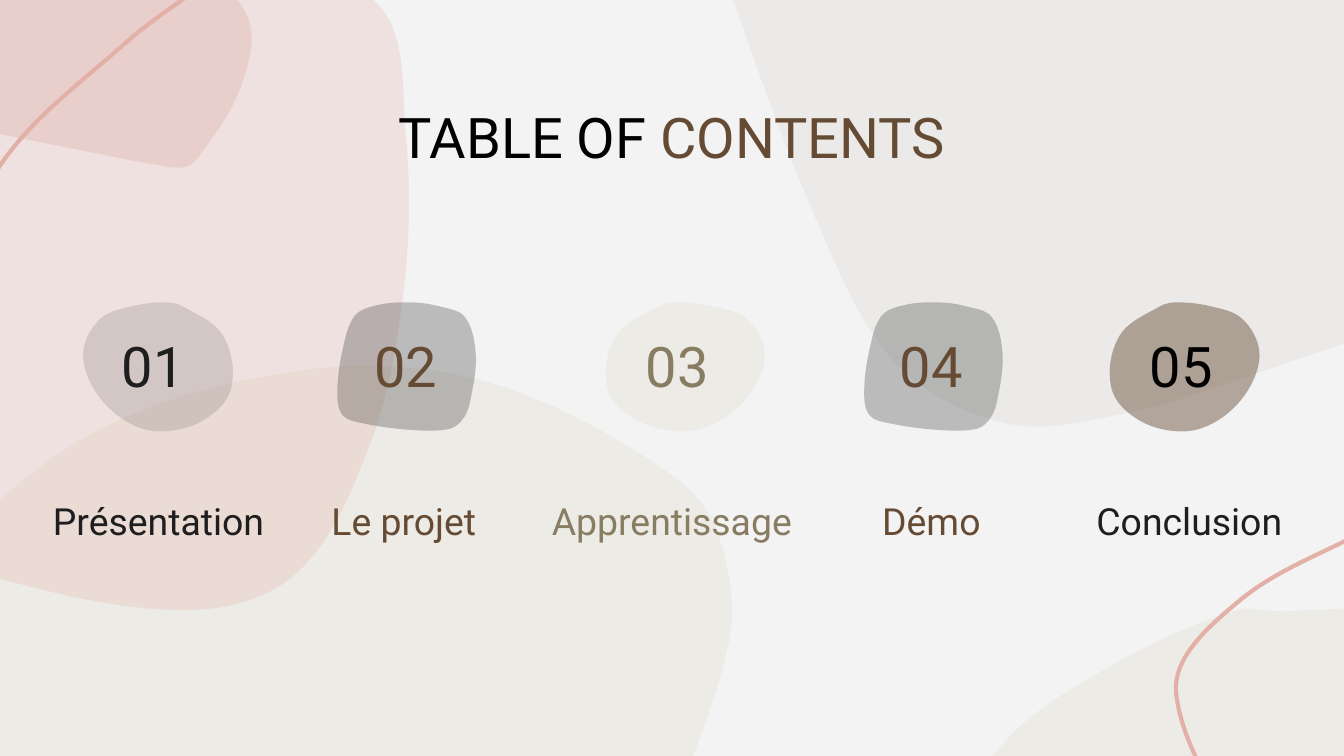
from dataclasses import dataclass
from math import cos, dist, radians, sin

from lxml import etree
from pptx import Presentation
from pptx import util as u
from pptx.dml.color import RGBColor
from pptx.enum import text
from pptx.oxml.ns import qn


@dataclass(frozen=True)
class Theme:
    """Colours, font and type sizes of the deck."""
    paper: str = "F3F3F3"
    black: str = "000000"
    ink: str = "1E1E1E"
    brown: str = "664B34"
    olive: str = "887C62"
    sand: str = "E7E2D6"
    rose: str = "E2B0A6"
    font: str = "Roboto"
    heading: int = 30
    label: int = 20
    stroke: float = 2.25


@dataclass(frozen=True)
class Outline:
    """Knots of a smooth curve, in grid cells around its own origin."""
    knots: tuple
    closed: bool = True


@dataclass(frozen=True)
class Chapter:
    """One column of the contents: a badge, its number and a name."""
    name: str
    center: float
    number_color: str
    name_center: float
    name_color: str
    badge: Outline
    badge_left: float
    stretch: float
    tint: str
    opacity: int
    name_width: float = 2.01


THEME = Theme()
COLUMNS = 10
WIDTH, HEIGHT = u.Inches(10), u.Inches(5.625)
CELL = WIDTH // COLUMNS
BADGE_ROW, NUMBER_ROW, NAME_ROW = 2.25, 2.47, 3.71
NUMBER_WIDTH = 2.01
MIDDLE, BOTTOM = text.MSO_ANCHOR.MIDDLE, text.MSO_ANCHOR.BOTTOM

HILL = Outline((
    (1.22, -3.04), (0.04, -2.68), (-2.19, -0.47), (-3.04, 0.26), (-4.7, 0.65),
    (-3.54, 1.94), (-2.56, 2.44), (-1.42, 2.76), (-0.98, 2.69), (0.25, 2.58),
    (2.09, 2.5), (3.8, 2.12), (4.44, 1.6), (4.61, 1.08), (4.5, -0.2),
    (4.12, -1.14), (3.52, -1.89), (2.85, -2.47), (2.12, -2.86)))
CLOUD = Outline((
    (-1.1, -2.95), (1.68, -2.29), (3.38, -1.59), (3.62, -0.56), (3.6, 0.61),
    (3.34, 1.75), (2.79, 2.69), (1.97, 2.95), (0.47, 2.68), (-1.21, 2.06),
    (-3.41, 0.8), (-3.06, -1.14), (-1.5, -2.9)))
THREAD = Outline((
    (-4.28, -1.58), (-3.67, -0.76), (-2.51, 0.26), (-1.75, 0.24), (-0.81, 0),
    (0.29, -0.09), (1.51, 0.39), (2.63, 0.96), (3.47, 0.96), (4.27, -0.48)), closed=False)
PETAL = Outline((
    (-1.61, -0.82), (-2.28, -0.63), (-2.63, 0.28), (-1.5, 0.81), (0.11, 0.79),
    (1.51, 0.8), (2.21, 0.8), (2.36, 0.77), (2.44, 0.66), (2.62, 0.21),
    (2.65, -0.27), (2.48, -0.53), (2.19, -0.67), (1.47, -0.73), (-0.62, -0.79)))
BOULDER = Outline((
    (-0.18, -3.11), (1.41, -3.01), (2.56, -2.48), (3.14, -0.81), (3.45, 1.26),
    (3.16, 2.32), (2.15, 2.77), (-0.25, 3.05), (-1.3, 3.11), (-2.13, 2.99),
    (-2.79, 2.45), (-3.1, 1.62), (-3.4, -0.62), (-3.39, -1.6), (-2.87, -2.41), (-1.6, -2.97)))
PEBBLE = Outline((
    (0.38, 0.03), (0.08, 0.25), (0.02, 0.64), (0.23, 0.88), (0.57, 0.96), (0.84, 0.86),
    (1.05, 0.63), (1.12, 0.36), (0.99, 0.12), (0.76, 0.03), (0.51, 0)))
TILE = Outline((
    (0.56, 0), (0.31, 0.02), (0.14, 0.1), (0.05, 0.35), (0.01, 0.67), (0.05, 0.84), (0.2, 0.9),
    (0.57, 0.95), (0.85, 0.94), (0.95, 0.86), (1, 0.73), (1.04, 0.39), (0.96, 0.11), (0.77, 0.03)))

BACKDROP = (
    (HILL, (1.56, 6.79), (1, 1), 303.4, THEME.sand, 46),
    (CLOUD, (-0.6, 1.59), (1, 1), 0, THEME.rose, 26),
    (THREAD, (-0.04, 1.54), (1, 1), 294.1, THEME.rose, 100),
    (PETAL, (-0.78, 0.04), (1, 1), 10.8, THEME.rose, 35),
    (BOULDER, (8.89, -0.25), (1, 1), 346.4, THEME.olive, 7),
    (HILL, (10.74, 6.71), (-0.86, 0.86), 171.4, THEME.sand, 46),
    (THREAD, (11.48, 2.82), (1, 1), 123.8, THEME.rose, 100),
)
CHAPTERS = (
    Chapter("Présentation", 1.14, THEME.ink, 1.18, THEME.ink,
            PEBBLE, 1.74, -1, THEME.ink, 13, name_width=1.79),
    Chapter("Le projet ", 3.02, THEME.brown, 3.04, THEME.brown, TILE, 2.5, 1, THEME.ink, 26),
    Chapter("Apprentissage", 5.04, THEME.olive, 5, THEME.olive,
            PEBBLE, 4.5, 1.06, THEME.sand, 46),
    Chapter("Démo", 6.93, THEME.brown, 6.93, THEME.brown, TILE, 6.42, 1, THEME.ink, 26),
    Chapter("Conclusion", 8.79, THEME.black, 8.85, THEME.ink,
            PEBBLE, 8.25, 1, THEME.brown, 46),
)


def turn(x, y, degrees):
    """Turn a point clockwise about the origin."""
    angle = radians(degrees)
    return x * cos(angle) - y * sin(angle), x * sin(angle) + y * cos(angle)


def smooth(knots, closed):
    """Join knots by cubics whose handles run parallel to the neighbours' chord."""
    count = len(knots)
    ends = [*knots, knots[0]] if closed else list(knots)
    points = [knots[0]]

    def handle(index, length):
        """Return a point at the given distance from a knot along its tangent."""
        before = knots[(index - 1) % count] if closed else knots[max(index - 1, 0)]
        after = knots[(index + 1) % count] if closed else knots[min(index + 1, count - 1)]
        share = length / dist(before, after)
        x, y = knots[index % count]
        return x + share * (after[0] - before[0]), y + share * (after[1] - before[1])

    for index, (start, end) in enumerate(zip(ends, ends[1:])):
        third = dist(start, end) / 3
        points += [handle(index, third), handle(index + 1, -third), end]
    return points


def bend(shape):
    """Turn each three straight steps of a freeform into one cubic curve."""
    steps = shape._element.xpath(".//a:lnTo")
    for first, *others in zip(steps[::3], steps[1::3], steps[2::3]):
        first.tag = qn("a:cubicBezTo")
        for step in others:
            first.append(step[0])
            step.getparent().remove(step)


def add_curve(page, outline, origin, stretch, rotation, color, opacity):
    """Place an outline on the page: filled when closed, else a line."""
    knots = [(x * stretch[0] * CELL, y * stretch[1] * CELL) for x, y in outline.knots]
    start, *rest = smooth(knots, outline.closed)
    builder = page.shapes.build_freeform(*start, scale=1.0)
    builder.add_line_segments(rest, close=outline.closed)
    shape = builder.convert_to_shape()
    bend(shape)
    x, y = turn(shape.left + shape.width / 2, shape.top + shape.height / 2, rotation)
    shape.left = round(origin[0] * CELL + x - shape.width / 2)
    shape.top = round(origin[1] * CELL + y - shape.height / 2)
    shape.rotation = rotation
    shape.shadow.inherit = False
    if outline.closed:
        shape.fill.solid()
        shape.fill.fore_color.rgb = RGBColor.from_string(color)
        shape.line.fill.background()
        tint = shape._element.xpath("./p:spPr/a:solidFill/a:srgbClr")[0]
        etree.SubElement(tint, qn("a:alpha"), val=str(opacity * 1000))
    else:
        shape.fill.background()
        shape.line.color.rgb = RGBColor.from_string(color)
        shape.line.width = u.Pt(THEME.stroke)


def add_text(page, center, top, width, height, spans, size, anchor):
    """Add a centred line of coloured spans, placed in grid cells."""
    frame = (center - width / 2, top, width, height)
    box = page.shapes.add_textbox(*(round(length * CELL) for length in frame)).text_frame
    box.word_wrap = True
    box.vertical_anchor = anchor
    box.margin_left = box.margin_right = box.margin_top = box.margin_bottom = u.Inches(0.1)
    para = box.paragraphs[0]
    para.alignment = text.PP_ALIGN.CENTER
    for words, color in spans:
        span = para.add_run()
        span.text = words
        span.font.name = THEME.font
        span.font.size = u.Pt(size)
        span.font.color.rgb = RGBColor.from_string(color)


def add_chapter(page, number, chapter):
    """Add a chapter's badge, number and name."""
    add_curve(page, chapter.badge, (chapter.badge_left, BADGE_ROW), (chapter.stretch, 1), 0,
              chapter.tint, chapter.opacity)
    add_text(page, chapter.center, NUMBER_ROW, NUMBER_WIDTH, 0.49,
             [(f"{number:02}", chapter.number_color)], THEME.heading, MIDDLE)
    add_text(page, chapter.name_center, NAME_ROW, chapter.name_width, 0.43,
             [(chapter.name, chapter.name_color)], THEME.label, BOTTOM)


def main():
    """Build the contents slide and save it."""
    deck = Presentation()
    deck.slide_width, deck.slide_height = WIDTH, HEIGHT
    page = deck.slides.add_slide(deck.slide_layouts[6])
    page.background.fill.solid()
    page.background.fill.fore_color.rgb = RGBColor.from_string(THEME.paper)
    for piece in BACKDROP:
        add_curve(page, *piece)
    for number, chapter in enumerate(CHAPTERS, 1):
        add_chapter(page, number, chapter)
    title = [("TABLE OF ", THEME.black), ("CONTENTS", THEME.brown)]
    add_text(page, COLUMNS / 2, 0.65, 8.43, 0.72, title, THEME.heading, MIDDLE)
    deck.save("out.pptx")


if __name__ == "__main__":
    main()
